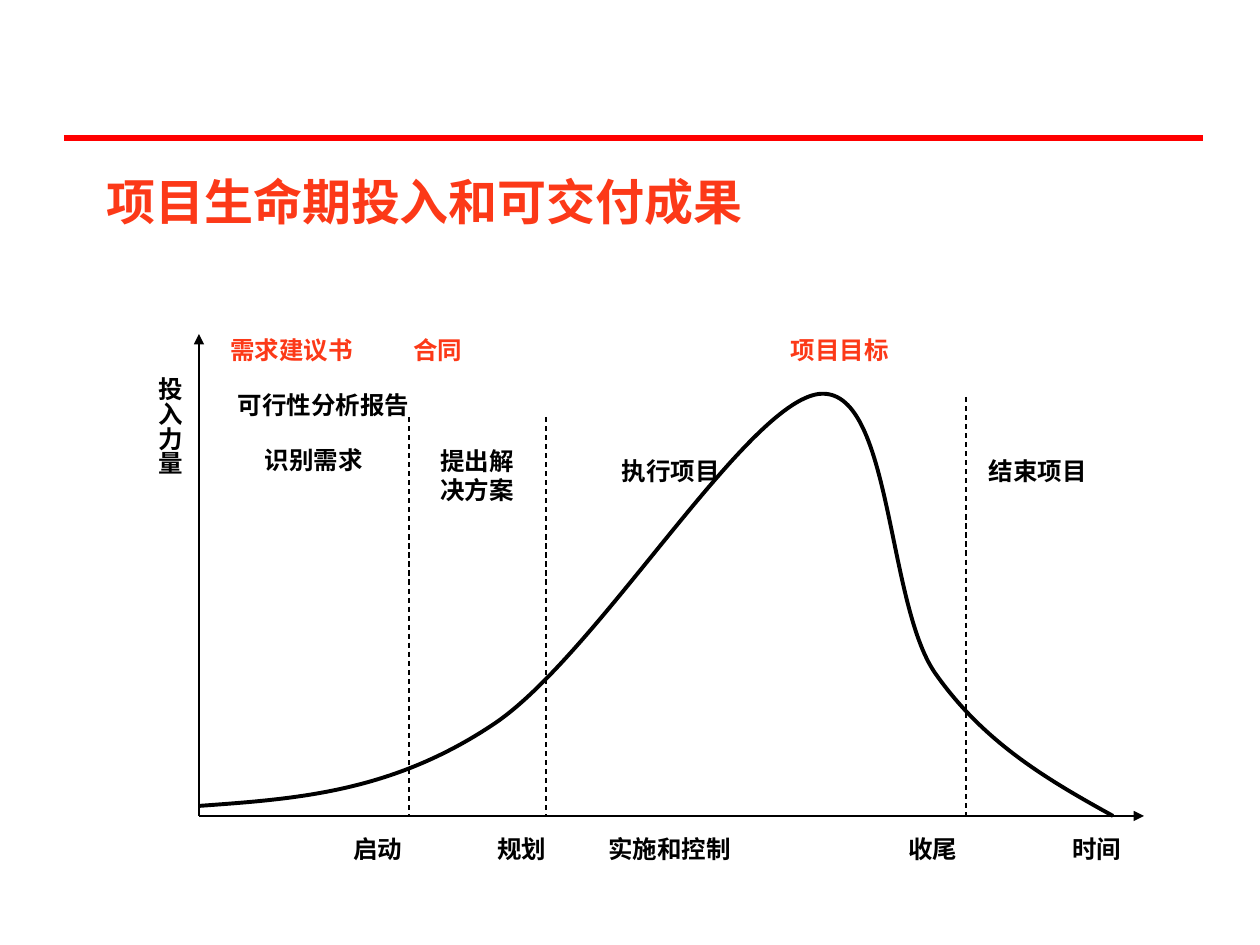
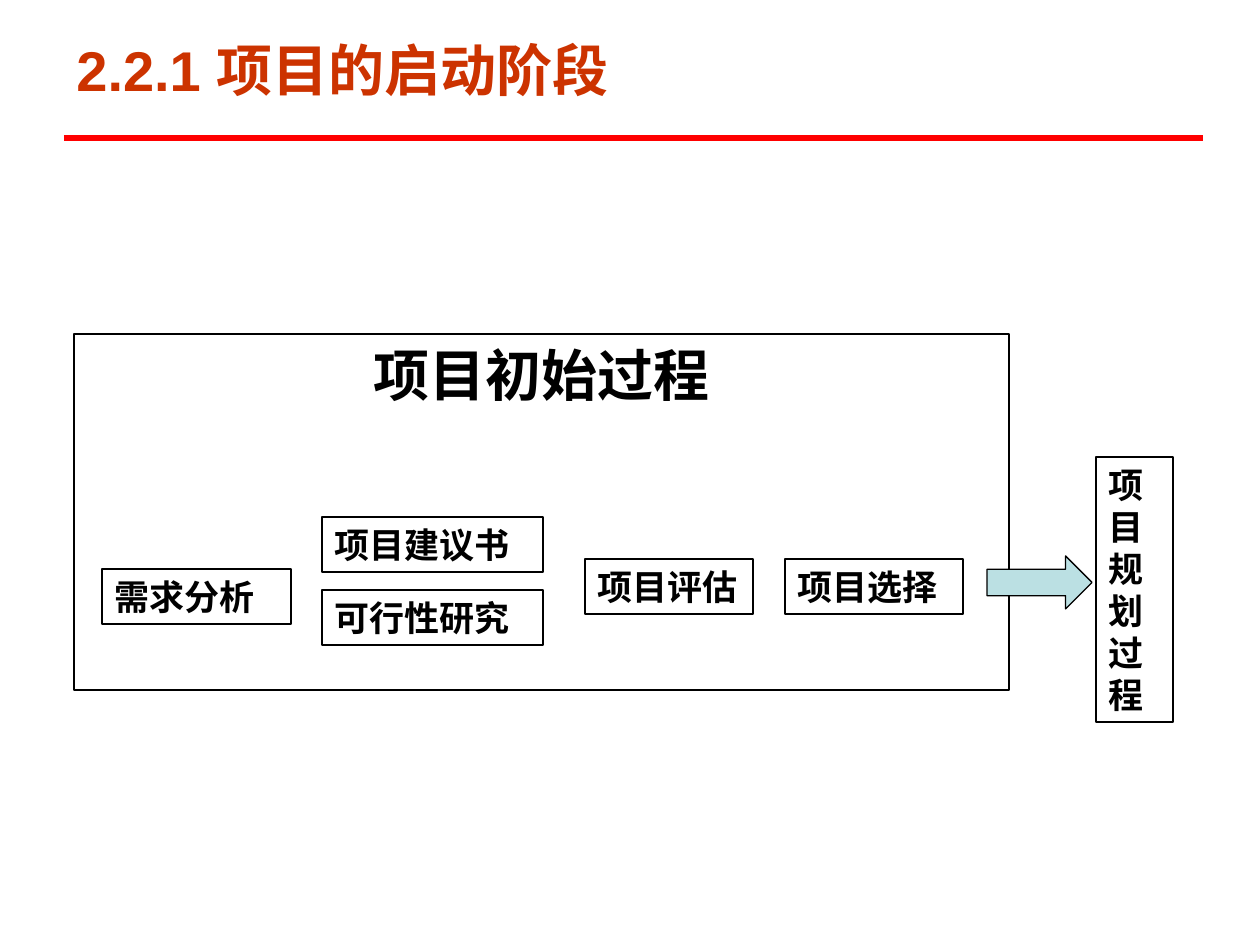
from typing import NamedTuple

from lxml import etree
from pptx import Presentation
from pptx import util as u
from pptx.dml.color import RGBColor
from pptx.enum import dml, shapes, text
from pptx.oxml.ns import qn

PX = u.Inches(1) / 126
WIDTH, HEIGHT = 1260, 945

BLACK = RGBColor(0x00, 0x00, 0x00)
RULE_RED = RGBColor(0xFF, 0x00, 0x00)
HEADING_RED = RGBColor(0xFC, 0x39, 0x18)
SECTION_RED = RGBColor(0xCC, 0x33, 0x00)
ARROW_BLUE = RGBColor(0xBB, 0xE0, 0xE3)

SANS = "Arial"
SERIF = "Times New Roman"
LABEL_HEIGHT = 44
STEP_HEIGHT = 55
THIN = 0.75

LEFT = text.PP_ALIGN.LEFT
CENTER = text.PP_ALIGN.CENTER
TOP = text.MSO_ANCHOR.TOP
MIDDLE = text.MSO_ANCHOR.MIDDLE


class Style(NamedTuple):
    size: int
    font: str
    color: RGBColor = BLACK
    align: text.PP_ALIGN = CENTER
    anchor: text.MSO_ANCHOR = MIDDLE


class Box(NamedTuple):
    left: int
    top: int
    width: int
    height: int


class Label(NamedTuple):
    words: str
    center_x: int
    center_y: int
    style: Style
    width: int = 0


class Line(NamedTuple):
    x1: int
    y1: int
    x2: int
    y2: int
    color: RGBColor = BLACK
    weight: float = THIN
    dashed: bool = False
    arrow: bool = False


class Step(NamedTuple):
    words: str
    box: Box


PHASE = Style(14, SERIF)
DELIVERABLE = Style(14, SANS, HEADING_RED)
STEP = Style(20, SERIF, align=LEFT)
FRAME_TITLE = Style(32, SANS, anchor=TOP)
CHART_TITLE = Style(28, SANS, HEADING_RED, LEFT)
SECTION_TITLE = Style(32, SANS, SECTION_RED, LEFT)

HEADER_RULE = Line(64, 138, 1203, 138, RULE_RED, 3)

AXIS_X, AXIS_Y = 199, 816
PHASE_Y, OUTPUT_Y = 849, 350
AXES = [
    Line(AXIS_X, AXIS_Y, AXIS_X, 334, arrow=True),
    Line(AXIS_X, AXIS_Y, 1144, AXIS_Y, arrow=True),
]
PHASE_LIMITS = [(409, 417), (546, 417), (966, 397)]
EFFORT_START = (199, 806)
EFFORT_CURVES = [
    [(295, 799), (391, 793), (494, 724)],
    [(597, 655), (746, 403), (819, 394)],
    [(892, 386), (886, 602), (935, 673)],
    [(984, 743), (1048, 780), (1113, 816)],
]
LABELS = [
    Label("需求建议书", 291, OUTPUT_Y, DELIVERABLE),
    Label("合同", 438, OUTPUT_Y, DELIVERABLE),
    Label("项目目标", 840, OUTPUT_Y, DELIVERABLE),
    Label("可行性分析报告", 323, 405, PHASE),
    Label("识别需求", 314, 460, PHASE),
    Label("提出解决方案", 477, 475, PHASE, 116),
    Label("执行项目", 671, 471, PHASE),
    Label("结束项目", 1038, 471, PHASE),
    Label("启动", 378, PHASE_Y, PHASE),
    Label("规划", 522, PHASE_Y, PHASE),
    Label("实施和控制", 669, PHASE_Y, PHASE),
    Label("收尾", 933, PHASE_Y, PHASE),
    Label("时间", 1097, PHASE_Y, PHASE),
]

INITIATION_FRAME = Box(74, 334, 935, 356)
PLANNING_ARROW = Box(987, 556, 105, 53)
STEPS = [
    Step("项目规划过程", Box(1096, 457, 77, 265)),
    Step("需求分析", Box(102, 569, 189, STEP_HEIGHT)),
    Step("项目建议书", Box(322, 517, 221, STEP_HEIGHT)),
    Step("可行性研究", Box(322, 590, 221, STEP_HEIGHT)),
    Step("项目评估", Box(585, 559, 168, STEP_HEIGHT)),
    Step("项目选择", Box(785, 559, 178, STEP_HEIGHT)),
]


def px(length: float) -> int:
    return round(length * PX)


def emu(lengths) -> list[int]:
    return [px(length) for length in lengths]


def write(shape, words: str, style: Style) -> None:
    frame = shape.text_frame
    frame.word_wrap = True
    frame.vertical_anchor = style.anchor
    paragraph = frame.paragraphs[0]
    paragraph.alignment = style.align
    run = paragraph.add_run()
    run.text = words
    run.font.size = u.Pt(style.size)
    run.font.name = style.font
    run.font.bold = True
    run.font.color.rgb = style.color


def add_text(slide, words: str, box: Box, style: Style):
    shape = slide.shapes.add_textbox(*emu(box))
    write(shape, words, style)
    return shape


def add_label(slide, label: Label) -> None:
    width = label.width or 25 * len(label.words) + 36
    height = LABEL_HEIGHT
    box = Box(label.center_x - width // 2, label.center_y - height // 2, width, height)
    add_text(slide, label.words, box, label.style)


def add_line(slide, line: Line) -> None:
    connector = slide.shapes.add_connector(
        shapes.MSO_CONNECTOR.STRAIGHT, *emu((line.x1, line.y1, line.x2, line.y2))
    )
    connector.line.color.rgb = line.color
    connector.line.width = u.Pt(line.weight)
    if line.dashed:
        connector.line.dash_style = dml.MSO_LINE.DASH
    if line.arrow:
        etree.SubElement(connector.line._get_or_add_ln(), qn("a:tailEnd"), type="triangle")
    etree.SubElement(connector._element.spPr, qn("a:effectLst"))


def outline(shape, weight: float = THIN, fill: RGBColor | None = None) -> None:
    shape.shadow.inherit = False
    shape.line.color.rgb = BLACK
    shape.line.width = u.Pt(weight)
    if fill is None:
        shape.fill.background()
    else:
        shape.fill.solid()
        shape.fill.fore_color.rgb = fill


def add_rectangle(slide, words: str, box: Box, style: Style) -> None:
    shape = slide.shapes.add_shape(shapes.MSO_SHAPE.RECTANGLE, *emu(box))
    outline(shape)
    write(shape, words, style)


def add_effort_curve(slide) -> None:
    builder = slide.shapes.build_freeform(*EFFORT_START, scale=PX)
    builder.add_line_segments([point for curve in EFFORT_CURVES for point in curve], close=False)
    shape = builder.convert_to_shape()
    outline(shape, 2.25)
    outline_path = next(shape._element.iter(qn("a:path")))
    segments = outline_path.findall(qn("a:lnTo"))
    for first in range(0, len(segments), 3):
        bezier = etree.SubElement(outline_path, qn("a:cubicBezTo"))
        for segment in segments[first:first + 3]:
            bezier.append(segment[0])
            outline_path.remove(segment)


def add_slide(presentation, title: str, box: Box, style: Style):
    slide = presentation.slides.add_slide(presentation.slide_layouts[6])
    add_line(slide, HEADER_RULE)
    add_text(slide, title, box, style)
    return slide


def build_life_cycle(presentation) -> None:
    slide = add_slide(presentation, "项目生命期投入和可交付成果", Box(94, 165, 977, 72), CHART_TITLE)
    for axis in AXES:
        add_line(slide, axis)
    add_effort_curve(slide)
    for x, top in PHASE_LIMITS:
        add_line(slide, Line(x, top, x, AXIS_Y, dashed=True))
    for label in LABELS:
        add_label(slide, label)
    effort = add_text(slide, "投入力量", Box(143, 365, 54, 158), PHASE)
    effort.text_frame._txBody.bodyPr.set("vert", "eaVert")


def build_initiation(presentation) -> None:
    slide = add_slide(presentation, "2.2.1 项目的启动阶段", Box(64, 43, 977, 53), SECTION_TITLE)
    add_rectangle(slide, "项目初始过程", INITIATION_FRAME, FRAME_TITLE)
    arrow = slide.shapes.add_shape(shapes.MSO_SHAPE.RIGHT_ARROW, *emu(PLANNING_ARROW))
    outline(arrow, fill=ARROW_BLUE)
    for step in STEPS:
        add_rectangle(slide, step.words, step.box, STEP)


def main() -> None:
    presentation = Presentation()
    presentation.slide_width = px(WIDTH)
    presentation.slide_height = px(HEIGHT)
    build_life_cycle(presentation)
    build_initiation(presentation)
    presentation.save("out.pptx")


if __name__ == "__main__":
    main()
